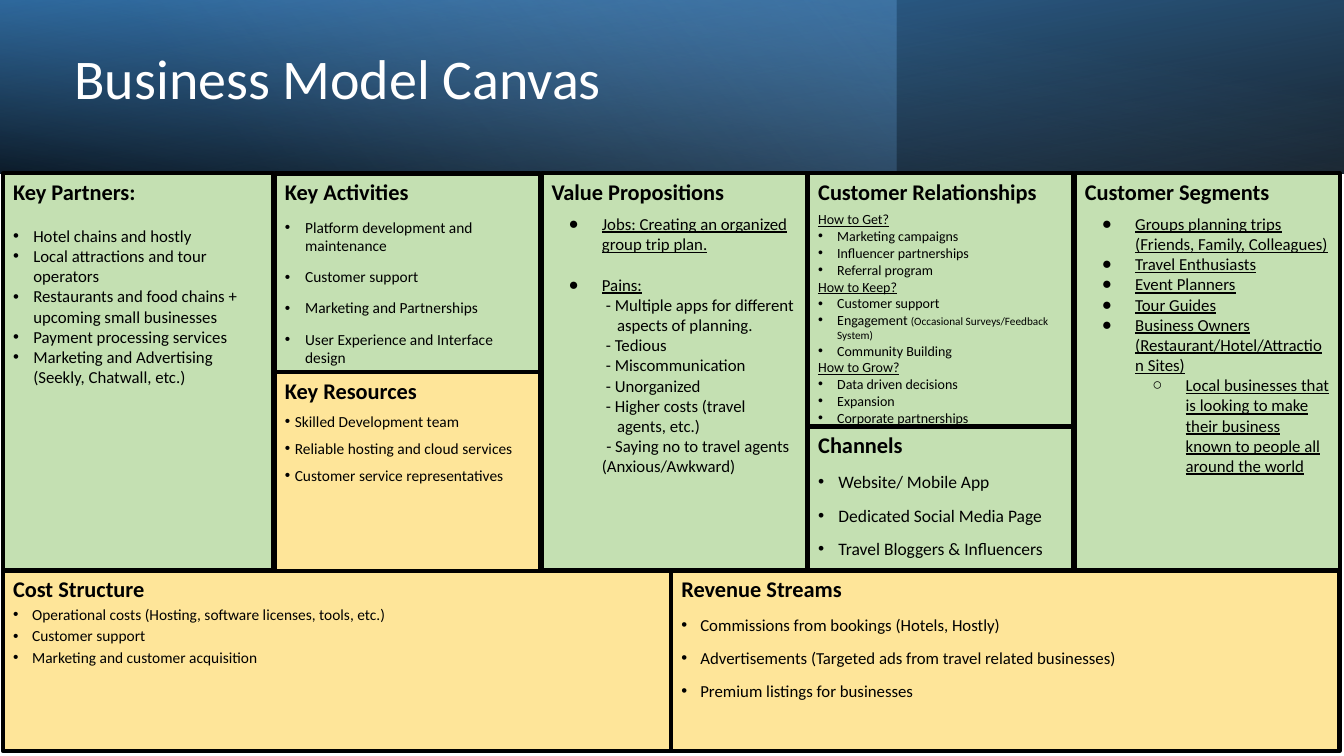
from dataclasses import dataclass

from lxml import etree
from pptx import Presentation
from pptx.dml.color import RGBColor
from pptx.enum.shapes import MSO_SHAPE
from pptx.enum.text import MSO_ANCHOR, PP_ALIGN
from pptx.oxml.ns import qn
from pptx.util import Cm, Pt

RECTANGLE = MSO_SHAPE.RECTANGLE
TOP, MIDDLE = MSO_ANCHOR.TOP, MSO_ANCHOR.MIDDLE
LEFT = PP_ALIGN.LEFT


@dataclass(frozen=True)
class Theme:
    font: str = "Calibri"
    ink: RGBColor = RGBColor(0, 0, 0)
    white: RGBColor = RGBColor(255, 255, 255)
    green: RGBColor = RGBColor(0xC4, 0xE0, 0xB2)
    yellow: RGBColor = RGBColor(0xFE, 0xE5, 0x99)
    title: float = 40
    heading: float = 16
    large: float = 12.5
    body: float = 12
    compact: float = 11
    small: float = 10
    note: float = 8
    border: float = 3


THEME = Theme()

# Grid of the canvas, in centimetres
SLIDE_W, SLIDE_H = 33.87, 19.05
HEADER_H = 4.37
EDGE = 0.08
COLUMN_W, PITCH = 6.68, 6.72
PARTNERS_W = 6.81
COLUMNS = [6.93 + PITCH * i for i in range(4)]
UPPER_H = 10.01
HALF_H = UPPER_H / 2
CHANNELS_H = 3.63
LOWER_TOP, LOWER_W, LOWER_H = HEADER_H + UPPER_H, 16.84, 4.55

# Paragraph styles: indents in centimetres, spacing in points
BLANK_LINE = 14.65
DOT = dict(bullet="•", left=0.51, hang=0.51)
NARROW_DOT = dict(bullet="•", left=0.48, hang=0.48)
TIGHT_DOT = dict(bullet="•", left=0.25, hang=0.25)
DISC = dict(bullet="●", left=1.27, hang=0.84, underline=True)
RING = dict(bullet="○", left=2.54, hang=0.84, underline=True)
DASH = dict(left=1.65, hang=0.28)
LAST_DASH = dict(left=1.27, hang=-0.11)


def add_text(paragraph, text, size=THEME.body, bold=False, underline=False,
             color=THEME.ink, bullet=None, left=0, hang=0, before=0, aside=""):
    paragraph.alignment = LEFT
    paragraph.space_before = Pt(before)
    for words, points in ((text, size), (aside, THEME.note)):
        if not words:
            continue
        for i, piece in enumerate(words.split("\n")):
            if i:
                paragraph.add_line_break()
            run = paragraph.add_run()
            run.text = piece
            run.font.name = THEME.font
            run.font.size = Pt(points)
            run.font.bold = bold
            run.font.underline = underline
            run.font.color.rgb = color
    props = paragraph._p.get_or_add_pPr()
    props.set("marL", str(Cm(left)))
    props.set("indent", str(Cm(-hang)))
    if bullet:
        tint = etree.SubElement(props, qn("a:buClr"))
        etree.SubElement(tint, qn("a:srgbClr"), val=str(THEME.ink))
        etree.SubElement(props, qn("a:buFont"), typeface="Arial")
        etree.SubElement(props, qn("a:buChar"), char=bullet)


def add_rectangle(slide, left, top, width, height):
    rectangle = slide.shapes.add_shape(
        RECTANGLE, Cm(left), Cm(top), Cm(width), Cm(height))
    rectangle.shadow.inherit = False
    return rectangle


def add_gradient_band(slide, width, angle, stops, flip=False, rotation=0):
    """Stops are (position %, colour, opacity %); the angle runs clockwise."""
    band = add_rectangle(slide, 0, 0, width, HEADER_H)
    band.rotation = rotation
    band.line.fill.background()
    band.fill.gradient()
    props = band._element.spPr
    if flip:
        props.find(qn("a:xfrm")).set("flipH", "1")
    gradient = props.find(qn("a:gradFill"))
    gradient.clear()
    gradient.set("rotWithShape", "1")
    stop_list = etree.SubElement(gradient, qn("a:gsLst"))
    for position, color, opacity in stops:
        stop = etree.SubElement(stop_list, qn("a:gs"), pos=str(position * 1000))
        tint = etree.SubElement(stop, qn("a:srgbClr"), val=color)
        etree.SubElement(tint, qn("a:alpha"), val=str(opacity * 1000))
    etree.SubElement(gradient, qn("a:lin"), ang=str(angle * 60000), scaled="0")


def add_title(slide, text):
    title = slide.shapes.add_textbox(Cm(1.63), Cm(0.84), Cm(15.32), Cm(2.44))
    frame = title.text_frame
    frame.word_wrap = True
    frame.vertical_anchor = MIDDLE
    frame.paragraphs[0].line_spacing = 0.9
    add_text(frame.paragraphs[0], text, size=THEME.title, color=THEME.white)


def add_block(slide, heading, box, fill, lines, first=None, **common):
    """Lines are strings or (string, format); first is the space above them."""
    block = add_rectangle(slide, *box)
    block.fill.solid()
    block.fill.fore_color.rgb = fill
    block.line.color.rgb = THEME.ink
    block.line.width = Pt(THEME.border)
    frame = block.text_frame
    frame.word_wrap = True
    frame.vertical_anchor = TOP
    add_text(frame.paragraphs[0], heading, size=THEME.heading, bold=True)
    for i, line in enumerate(lines):
        text, own = (line, {}) if isinstance(line, str) else line
        style = {**common, **own}
        if i == 0 and first is not None:
            style["before"] = first
        add_text(frame.add_paragraph(), text, **style)


def add_header(slide):
    add_gradient_band(slide, SLIDE_W, 100, [(0, "000000", 95), (100, "2E75B5", 100)],
                      flip=True, rotation=180)
    add_gradient_band(slide, 22.58, 140, [(0, "5B9BD5", 40), (74, "9CC2E5", 0),
                                          (100, "9CC2E5", 0)])
    add_gradient_band(slide, SLIDE_W, 260, [(0, "000000", 62), (78, "5B9BD5", 15),
                                            (100, "5B9BD5", 15)], flip=True)
    add_title(slide, "Business Model Canvas")


def add_canvas(slide):
    activities, values, customers, segments = COLUMNS
    green, yellow = THEME.green, THEME.yellow
    question = dict(underline=True, bullet=None, left=0, hang=0)

    add_block(slide, "Cost Structure", (EDGE, LOWER_TOP, LOWER_W, LOWER_H), yellow, [
        "Operational costs (Hosting, software licenses, tools, etc.)",
        "Customer support", "Marketing and customer acquisition",
    ], size=THEME.compact, before=2, **NARROW_DOT)
    add_block(slide, "Key Partners:", (EDGE, HEADER_H, PARTNERS_W, UPPER_H), green, [
        "Hotel chains and hostly", "Local attractions and tour operators",
        "Restaurants and food chains + upcoming small businesses",
        "Payment processing services",
        "Marketing and Advertising (Seekly, Chatwall, etc.)",
    ], first=BLANK_LINE, **DOT)
    add_block(slide, "Key Activities", (activities, HEADER_H, COLUMN_W, HALF_H), green, [
        "Platform development and maintenance", "Customer support",
        "Marketing and Partnerships", "User Experience and Interface design",
    ], size=THEME.compact, before=9, **DOT)
    add_block(slide, "Value Propositions", (values, HEADER_H, COLUMN_W, UPPER_H), green, [
        ("Jobs: Creating an organized group trip plan.", DISC),
        ("Pains:", {**DISC, "before": BLANK_LINE}),
        "- Multiple apps for different\naspects of planning.", "- Tedious",
        "- Miscommunication", "- Unorganized", "- Higher costs (travel\nagents, etc.)",
        ("- Saying no to travel agents (Anxious/Awkward)", LAST_DASH),
    ], first=6, **DASH)
    add_block(slide, "Customer Relationships", (customers, HEADER_H, COLUMN_W, 6.53), green, [
        ("How to Get?", question),
        "Marketing campaigns", "Influencer partnerships", "Referral program",
        ("How to Keep?", question), "Customer support",
        ("Engagement ", dict(aside="(Occasional Surveys/Feedback System)")),
        "Community Building",
        ("How to Grow?", question),
        "Data driven decisions", "Expansion", "Corporate partnerships",
    ], first=4, size=THEME.small, **NARROW_DOT)
    add_block(slide, "Customer Segments", (segments, HEADER_H, COLUMN_W, UPPER_H), green, [
        "Groups planning trips (Friends, Family, Colleagues)", "Travel Enthusiasts",
        "Event Planners", "Tour Guides",
        "Business Owners (Restaurant/Hotel/Attraction Sites)",
        ("Local businesses that is looking to make their business known to "
         "people all around the world", RING),
    ], first=6, **DISC)
    add_block(slide, "Channels",
              (customers, LOWER_TOP - CHANNELS_H, COLUMN_W, CHANNELS_H), green, [
                  "Website/ Mobile App", "Dedicated Social Media Page",
                  "Travel Bloggers & Influencers",
              ], size=THEME.large, before=9, **DOT)
    add_block(slide, "Key Resources",
              (activities, HEADER_H + HALF_H, COLUMN_W, HALF_H), yellow, [
                  "Skilled Development team", "Reliable hosting and cloud services",
                  "Customer service representatives",
              ], size=THEME.compact, before=6, **TIGHT_DOT)
    add_block(slide, "Revenue Streams",
              (EDGE + LOWER_W, LOWER_TOP, LOWER_W, LOWER_H), yellow, [
                  "Commissions from bookings (Hotels, Hostly)",
                  "Advertisements (Targeted ads from travel related businesses)",
                  "Premium listings for businesses",
              ], before=9, **NARROW_DOT)


def main():
    deck = Presentation()
    deck.slide_width, deck.slide_height = Cm(SLIDE_W), Cm(SLIDE_H)
    slide = deck.slides.add_slide(deck.slide_layouts[6])
    add_header(slide)
    add_canvas(slide)
    deck.save("out.pptx")


if __name__ == "__main__":
    main()
